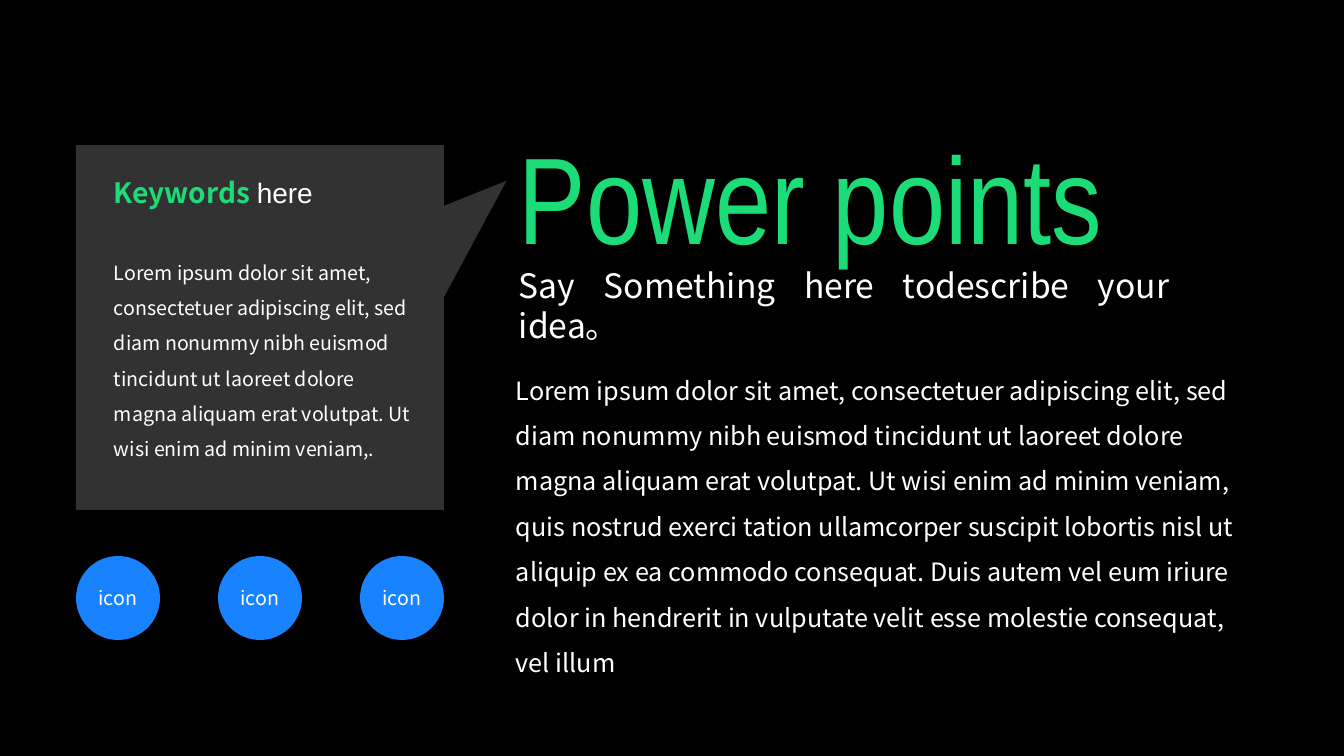
import pptx
import pptx.dml.color
import pptx.enum.shapes
import pptx.enum.text
import pptx.oxml
import pptx.oxml.ns
import pptx.util

PAGE_SIZE = (1344, 756)
EMU_PER_PX = 12192000 / 1344
SANS, NARROW, PLAIN = "Noto Sans CJK SC", "Arial Narrow", "Arial"
BLACK, WHITE, GREEN, GREY, BLUE = "000000", "FFFFFF", "1BDC77", "323232", "1982FF"

LOREM = (
    "Lorem ipsum dolor sit amet, consectetuer adipiscing elit, sed diam nonummy nibh "
    "euismod tincidunt ut laoreet dolore magna aliquam erat volutpat. "
    "Ut wisi enim ad minim veniam,"
)
LONG_LOREM = LOREM + (
    " quis nostrud exerci tation ullamcorper suscipit lobortis nisl ut aliquip ex ea "
    "commodo consequat. Duis autem vel eum iriure dolor in hendrerit in vulputate "
    "velit esse molestie consequat, vel illum"
)
# box, size, line spacing, alignment, spans of (text, font, colour, bold)
ALIGN = pptx.enum.text.PP_ALIGN
TEXTS = [
    ((509, 116, 677, 159), 88, None, ALIGN.LEFT, [("Power points", NARROW, GREEN, False)]),
    ((509, 260, 670, 50), 24, None, ALIGN.JUSTIFY,
     [("Say Something here todescribe your idea。", SANS, WHITE, False)]),
    ((104, 244, 322, 224), 14, 1.5, ALIGN.LEFT, [(LOREM + ".", SANS, WHITE, False)]),
    ((104, 171, 237, 44), 20, None, ALIGN.LEFT,
     [("Keywords ", SANS, GREEN, True), ("here", PLAIN, WHITE, False)]),
    ((506, 355, 762, 285), 18, 1.5, ALIGN.LEFT, [(LONG_LOREM, SANS, WHITE, False)]),
]
CALLOUT = (76, 145, 368, 365)
CALLOUT_TIP = (0.67, -0.402)
ICONS = ["icon", "icon", "icon"]
ICON_TOP, ICON_SIZE = 556, 84


def emu(px):
    return pptx.util.Emu(round(px * EMU_PER_PX))


def colour(value):
    return pptx.dml.color.RGBColor.from_string(value)


def style_span(span, size, font, tint, bold=False):
    span.font.size = pptx.util.Pt(size)
    span.font.bold = bold
    span.font.color.rgb = colour(tint)
    span.font.name = font
    east_asian = pptx.oxml.parse_xml(
        f'<a:ea {pptx.oxml.ns.nsdecls("a")} typeface="{font}"/>')
    span.font._element.find(pptx.oxml.ns.qn("a:latin")).addnext(east_asian)


def add_text(page, box, size, spacing, align, spans):
    frame = page.shapes.add_textbox(*map(emu, box)).text_frame
    frame.word_wrap = True
    frame.auto_size = pptx.enum.text.MSO_AUTO_SIZE.SHAPE_TO_FIT_TEXT
    para = frame.paragraphs[0]
    para.alignment = align
    if spacing:
        para.line_spacing = spacing
    for text, font, tint, bold in spans:
        span = para.add_run()
        span.text = text
        style_span(span, size, font, tint, bold)


def add_filled(page, kind, box, fill):
    shape = page.shapes.add_shape(kind, *map(emu, box))
    shape.shadow.inherit = False
    shape.fill.solid()
    shape.fill.fore_color.rgb = colour(fill)
    shape.line.fill.background()
    return shape


def add_icon(page, box, label):
    circle = add_filled(page, pptx.enum.shapes.MSO_SHAPE.OVAL, box, BLUE)
    frame = circle.text_frame
    frame.text = label
    frame.vertical_anchor = pptx.enum.text.MSO_ANCHOR.MIDDLE
    para = frame.paragraphs[0]
    para.alignment = ALIGN.CENTER
    style_span(para.runs[0], 14, SANS, WHITE)


def main():
    deck = pptx.Presentation()
    deck.slide_width, deck.slide_height = map(emu, PAGE_SIZE)
    page = deck.slides.add_slide(deck.slide_layouts[6])
    page.background.fill.solid()
    page.background.fill.fore_color.rgb = colour(BLACK)

    callout = add_filled(
        page, pptx.enum.shapes.MSO_SHAPE.RECTANGULAR_CALLOUT, CALLOUT, GREY)
    callout.adjustments[0], callout.adjustments[1] = CALLOUT_TIP

    for text in TEXTS:
        add_text(page, *text)

    left, _, width, _ = CALLOUT
    pitch = (width - ICON_SIZE) / (len(ICONS) - 1)
    for index, label in enumerate(ICONS):
        add_icon(page, (left + index * pitch, ICON_TOP, ICON_SIZE, ICON_SIZE), label)

    deck.save("out.pptx")


if __name__ == "__main__":
    main()
